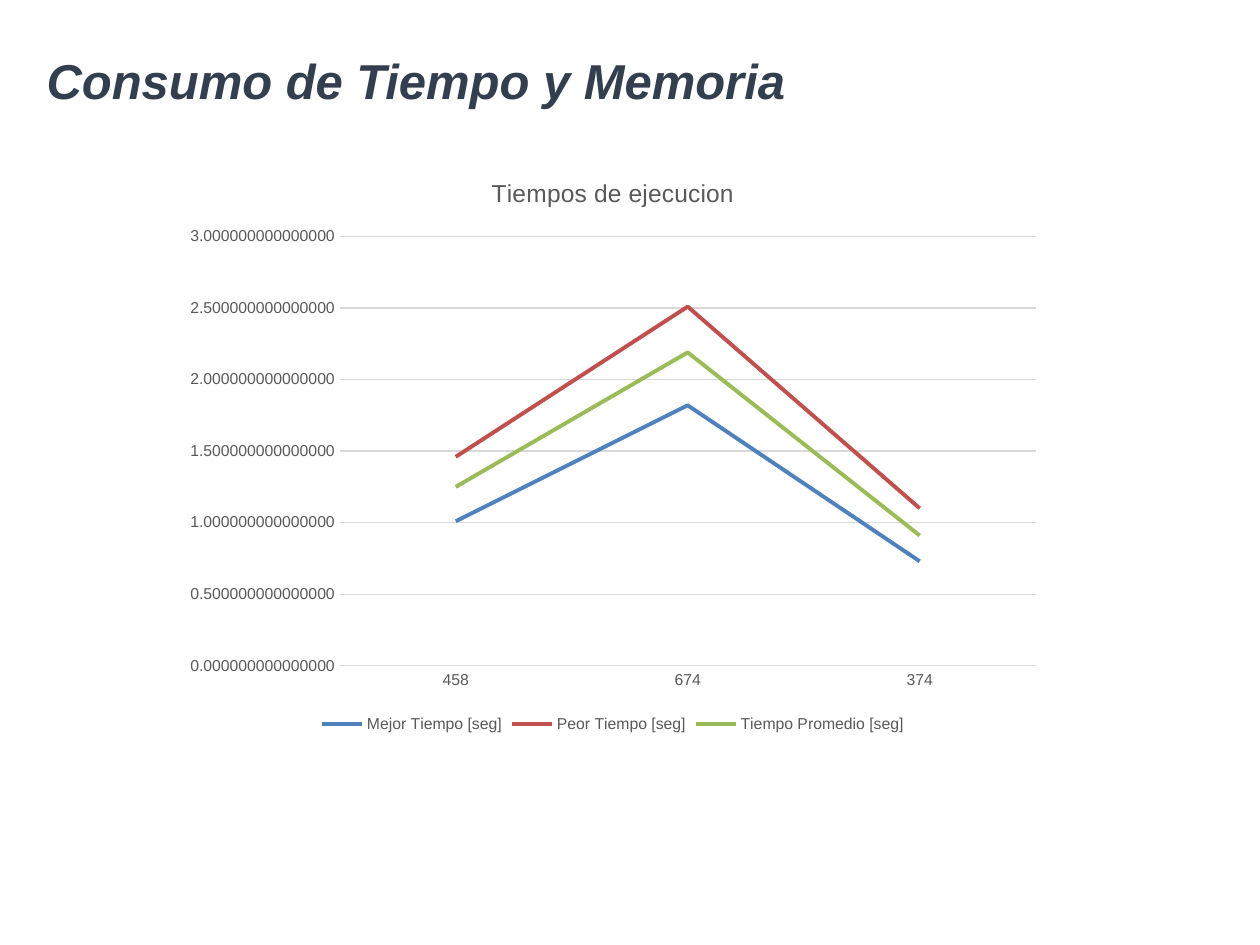
from pptx import Presentation
from pptx.chart.data import CategoryChartData
from pptx.dml.color import RGBColor
from pptx.enum.chart import XL_CHART_TYPE, XL_LEGEND_POSITION, XL_MARKER_STYLE, XL_TICK_MARK
from pptx.enum.text import MSO_ANCHOR, PP_ALIGN
from pptx.util import Inches, Pt

GRAY = "595959"
GRID = "D9D9D9"
CATEGORIES = ["458", "674", "374"]
SERIES = [
    ("Mejor Tiempo [seg]", [1.01, 1.82, 0.73], "4F81BD"),
    ("Peor Tiempo [seg]", [1.46, 2.51, 1.1], "C0504D"),
    ("Tiempo Promedio [seg]", [1.25, 2.19, 0.91], "9BBB59"),
]


def rgb(value):
    return RGBColor.from_string(value)


def set_font(font, size, color, bold=False, italic=False):
    font.name = "Arial"
    font.size = Pt(size)
    font.color.rgb = rgb(color)
    font.bold = bold
    font.italic = italic


def set_line(line, color, width):
    line.color.rgb = rgb(color)
    line.width = Pt(width)


def add_title(s, text):
    sp = s.shapes.title
    sp.left, sp.top = Inches(0.27), Inches(0.33)
    sp.width, sp.height = Inches(8.62), Inches(0.67)
    tf = sp.text_frame
    tf.word_wrap = True
    tf.vertical_anchor = MSO_ANCHOR.MIDDLE
    p = tf.paragraphs[0]
    p.alignment = PP_ALIGN.LEFT
    p.line_spacing = 0.9
    r = p.add_run()
    r.text = text
    set_font(r.font, 28, "333F4F", bold=True, italic=True)


def format_axes(chart):
    for axis in (chart.category_axis, chart.value_axis):
        axis.major_tick_mark = XL_TICK_MARK.NONE
        axis.minor_tick_mark = XL_TICK_MARK.NONE
        set_font(axis.tick_labels.font, 9, GRAY)
    set_line(chart.category_axis.format.line, GRID, 0.75)
    axis = chart.value_axis
    axis.minimum_scale, axis.maximum_scale, axis.major_unit = 0, 3, 0.5
    axis.format.line.fill.background()
    set_line(axis.major_gridlines.format.line, GRID, 0.75)
    axis.tick_labels.number_format = "0.000000000000000"
    axis.tick_labels.number_format_is_linked = False


def add_line_chart(s, title):
    data = CategoryChartData()
    data.categories = CATEGORIES
    for name, values, _ in SERIES:
        data.add_series(name, values)
    chart = s.shapes.add_chart(
        XL_CHART_TYPE.LINE, Inches(1.37), Inches(1.23), Inches(6.99), Inches(4.63), data
    ).chart
    set_font(chart.font, 10, "000000")
    chart.has_title = True
    r = chart.chart_title.text_frame.paragraphs[0].add_run()
    r.text = title
    set_font(r.font, 14, GRAY)
    chart.chart_title.include_in_layout = False
    chart.has_legend = True
    chart.legend.position = XL_LEGEND_POSITION.BOTTOM
    chart.legend.include_in_layout = False
    set_font(chart.legend.font, 9, GRAY)
    format_axes(chart)
    plot = chart.plots[0]
    plot.vary_by_categories = False
    for series, (_, _, color) in zip(plot.series, SERIES):
        series.smooth = False
        series.marker.style = XL_MARKER_STYLE.NONE
        set_line(series.format.line, color, 2.25)


def main():
    prs = Presentation()
    prs.slide_width, prs.slide_height = Inches(10), Inches(7.5)
    s = prs.slides.add_slide(prs.slide_layouts[5])
    add_title(s, "Consumo de Tiempo y Memoria")
    add_line_chart(s, "Tiempos de ejecucion")
    prs.save("out.pptx")


if __name__ == "__main__":
    main()
